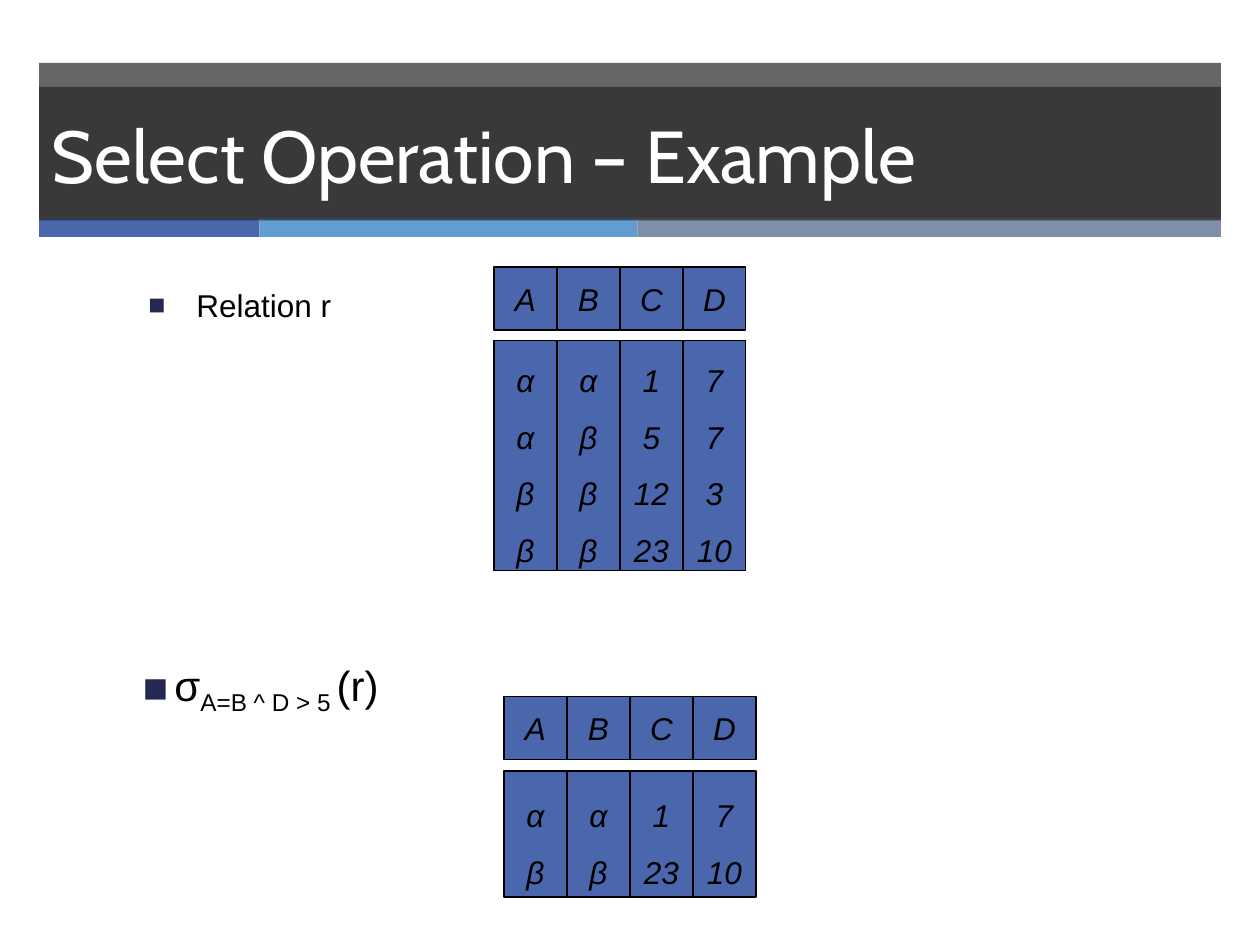
from lxml.etree import SubElement
from pptx import Presentation
from pptx.dml.color import RGBColor
from pptx.enum.shapes import MSO_SHAPE
from pptx.enum.text import MSO_ANCHOR, MSO_AUTO_SIZE, PP_ALIGN
from pptx.oxml.ns import qn
from pptx.util import Inches, Pt

COLORS = {"dark": "262626", "blue": "4A66AC", "sky": "629DD1", "slate": "7F8FA9",
          "navy": "242852", "black": "000000", "white": "FFFFFF"}
TITLE = "Select Operation – Example"
BANDS = [(0.31, 0.5, 9.38, 1.24, "dark", 70),
         (0.31, 1.73, 1.75, 0.15, "blue", 100),
         (2.06, 1.73, 3, 0.15, "sky", 100),
         (5.06, 1.73, 4.63, 0.15, "slate", 100)]
HEADS = ["A", "B", "C", "D"]
TABLES = [
    {"left": 3.92, "top": 2.12, "body": 2.7, "height": 1.83,
     "rows": [("α", "α", "1", "7"), ("α", "β", "5", "7"),
              ("β", "β", "12", "3"), ("β", "β", "23", "10")]},
    {"left": 4, "top": 5.53, "body": 6.12, "height": 1,
     "rows": [("α", "α", "1", "7"), ("β", "β", "23", "10")]},
]
LABELS = [
    {"at": (1.08, 2.22, 1.79, 0.4), "indent": 0.38, "before": 7.9, "size": 90,
     "align": PP_ALIGN.LEFT, "anchor": MSO_ANCHOR.TOP, "wrap": True,
     "fit": MSO_AUTO_SIZE.NONE, "runs": [("Relation r", 18, 0)]},
    {"at": (1.03, 5.18, 2.08, 0.56), "indent": 0.25, "before": 15, "size": 100,
     "align": PP_ALIGN.CENTER, "anchor": MSO_ANCHOR.MIDDLE, "wrap": False,
     "fit": MSO_AUTO_SIZE.SHAPE_TO_FIT_TEXT,
     "runs": [("σ", 24, 0), ("A=B ^ D > 5", 24, -25), (" ", 20, -25), ("(r)", 24, 0)]},
]
CELL = 0.5


def color(name):
    return RGBColor.from_string(COLORS[name])


def add_rect(slide, at, fill, alpha=100, line=None):
    box = slide.shapes.add_shape(MSO_SHAPE.RECTANGLE, *map(Inches, at))
    box.shadow.inherit = False
    box.fill.solid()
    box.fill.fore_color.rgb = color(fill)
    if alpha < 100:
        tint = box.fill._xPr.find(qn("a:solidFill"))[0]
        SubElement(tint, qn("a:alpha"), val=str(alpha * 1000))
    if line:
        box.line.color.rgb = color(line)
        box.line.width = Pt(0.75)
    else:
        box.line.fill.background()
    return box


def add_run(para, text, size, tone="black", face="Arial", shift=0, italic=None):
    run = para.add_run()
    run.text = text
    font = run.font
    font.size, font.name, font.italic = Pt(size), face, italic
    font.color.rgb = color(tone)
    if shift:
        font._element.set("baseline", str(shift * 1000))


def add_column(slide, at, items, space=None):
    frame = add_rect(slide, at, "blue", line="black").text_frame
    frame.word_wrap = False
    frame.vertical_anchor = MSO_ANCHOR.MIDDLE
    for i, item in enumerate(items):
        para = frame.add_paragraph() if i else frame.paragraphs[0]
        para.alignment = PP_ALIGN.CENTER
        para.line_spacing = space
        add_run(para, item, 18, italic=True)


def add_bullet(para, indent, size):
    props = para._p.get_or_add_pPr()
    props.set("marL", str(Inches(indent)))
    props.set("indent", str(-Inches(indent)))
    tint = SubElement(props, qn("a:buClr"))
    SubElement(tint, qn("a:srgbClr"), val=COLORS["navy"])
    SubElement(props, qn("a:buSzPct"), val=str(size * 1000))
    SubElement(props, qn("a:buFont"), typeface="Arial")
    SubElement(props, qn("a:buChar"), char="■")


def add_label(slide, label):
    frame = slide.shapes.add_textbox(*map(Inches, label["at"])).text_frame
    frame.word_wrap = label["wrap"]
    frame.auto_size = label["fit"]
    frame.vertical_anchor = label["anchor"]
    para = frame.paragraphs[0]
    para.alignment = label["align"]
    para.space_before = Pt(label["before"])
    add_bullet(para, label["indent"], label["size"])
    for text, size, shift in label["runs"]:
        add_run(para, text, size, shift=shift)


def main():
    deck = Presentation()
    deck.slide_width, deck.slide_height = Inches(10), Inches(7.5)
    slide = deck.slides.add_slide(deck.slide_layouts[6])

    for *at, fill, alpha in BANDS:
        add_rect(slide, at, fill, alpha)

    frame = add_rect(slide, (0.31, 0.69, 9.38, 1.06), "dark", 70).text_frame
    frame.word_wrap = True
    frame.vertical_anchor = MSO_ANCHOR.MIDDLE
    para = frame.paragraphs[0]
    para.alignment = PP_ALIGN.LEFT
    add_run(para, TITLE, 42, "white", "Cabin")

    for label, table in zip(LABELS, TABLES):
        add_label(slide, label)
        for i, (head, items) in enumerate(zip(HEADS, zip(*table["rows"]))):
            left = table["left"] + i * CELL
            add_column(slide, (left, table["top"], CELL, CELL), [head])
            add_column(slide, (left, table["body"], CELL, table["height"]), items, 1.5)

    deck.save("out.pptx")


if __name__ == "__main__":
    main()
